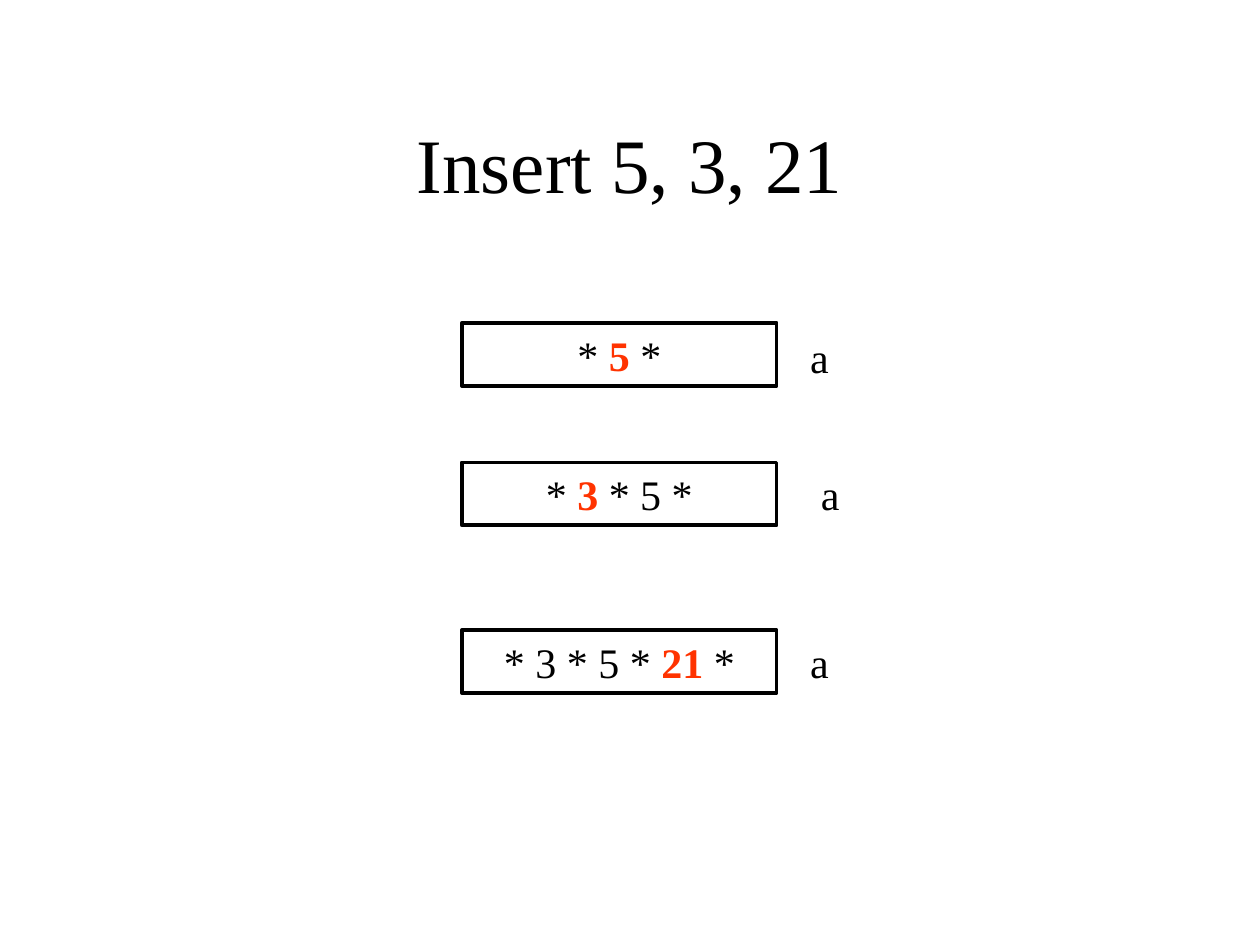
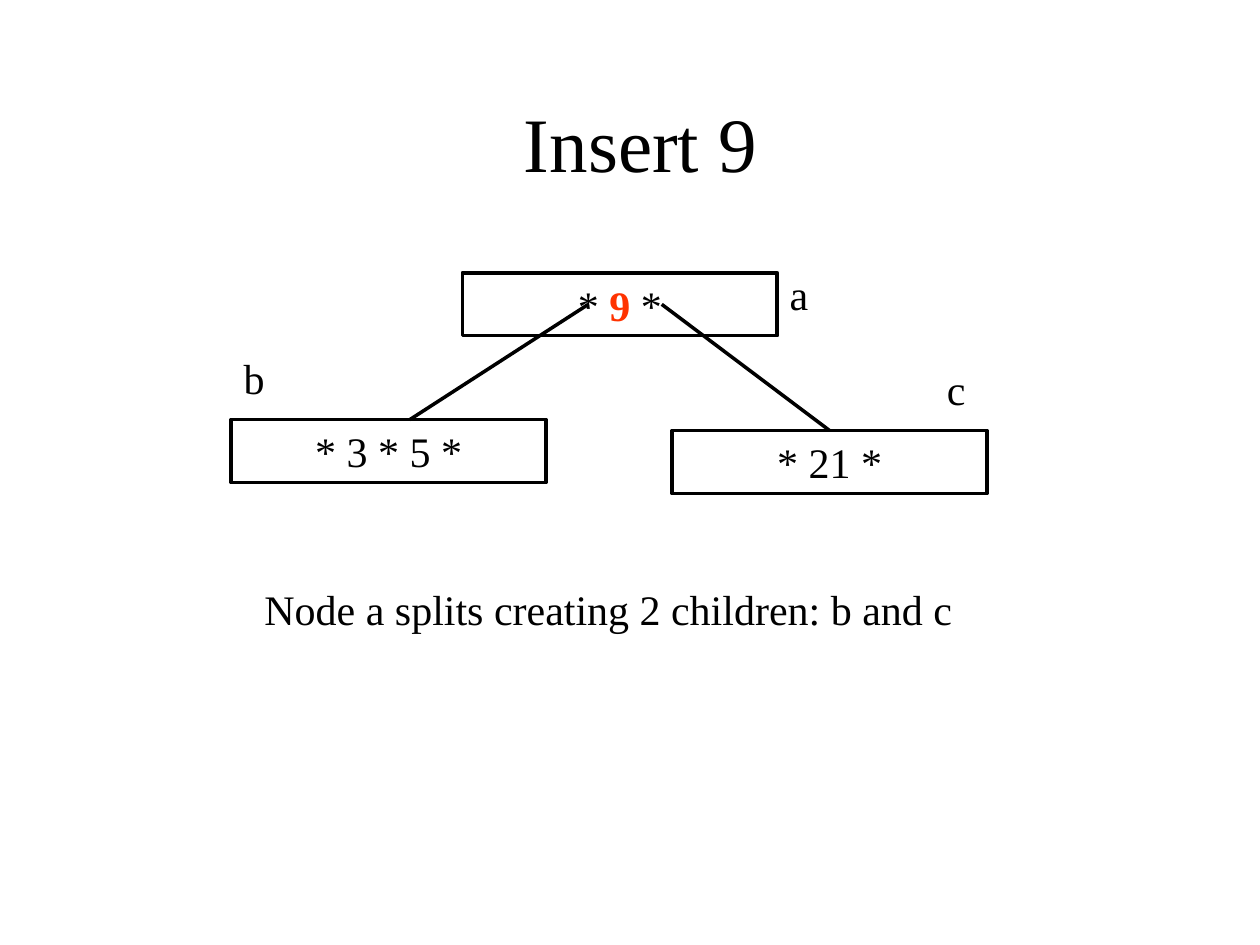
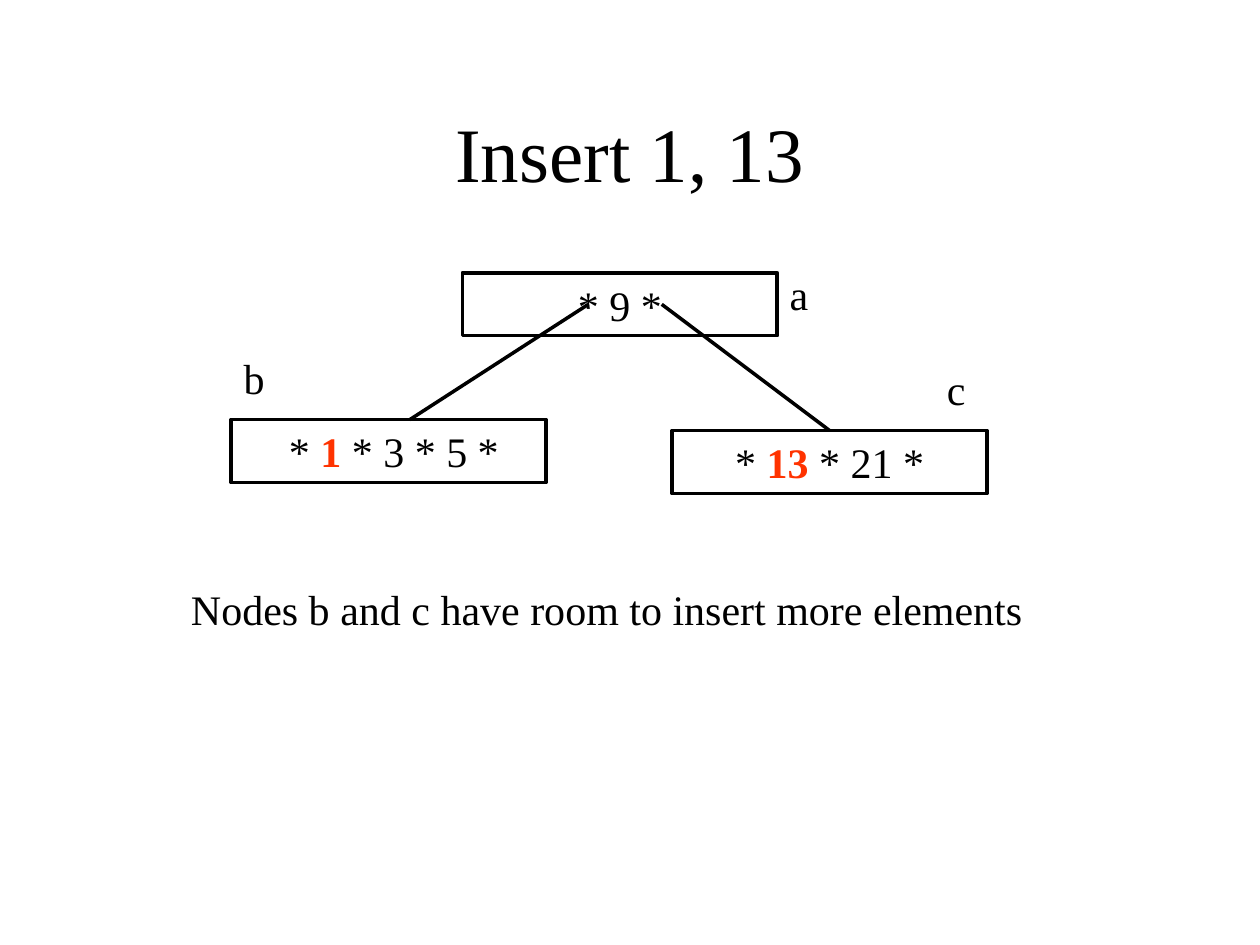
from dataclasses import dataclass

from lxml.etree import SubElement
from pptx import Presentation
from pptx.dml.color import RGBColor
from pptx.enum.shapes import MSO_CONNECTOR, MSO_SHAPE
from pptx.enum.text import MSO_ANCHOR, MSO_AUTO_SIZE, PP_ALIGN
from pptx.oxml.ns import qn
from pptx.util import Cm, Pt


@dataclass(frozen=True)
class Theme:
    font: str = "Times New Roman"
    ink: RGBColor = RGBColor(0x00, 0x00, 0x00)
    inserted: RGBColor = RGBColor(0xFF, 0x33, 0x00)
    paper: RGBColor = RGBColor(0xFF, 0xFF, 0xFF)
    title_size: Pt = Pt(44)
    text_size: Pt = Pt(24)
    stroke: Pt = Pt(2)


@dataclass(frozen=True)
class Box:
    """A region of the slide, in centimetres."""
    left: float
    top: float
    width: float
    height: float

    def inner(self, dx, dy, width, height):
        return Box(self.left + dx, self.top + dy, width, height)

    def lengths(self):
        return Cm(self.left), Cm(self.top), Cm(self.width), Cm(self.height)


THEME = Theme()
NODE_WIDTH, NODE_HEIGHT = 6.35, 1.27
LABEL_SIDE = 1.27


def style_paragraph(paragraph, size, align):
    paragraph.alignment = align
    paragraph.font.name = THEME.font
    paragraph.font.size = size
    paragraph.font.color.rgb = THEME.ink


def add_title_slide(deck, title, box):
    """Add a slide that has only a title, placed in the box."""
    slide = deck.slides.add_slide(deck.slide_layouts[5])
    slide.background.fill.solid()
    slide.background.fill.fore_color.rgb = THEME.paper
    heading = slide.shapes.title
    heading.left, heading.top, heading.width, heading.height = box.lengths()
    frame = heading.text_frame
    frame.text = title
    frame.auto_size = MSO_AUTO_SIZE.NONE
    frame.vertical_anchor = MSO_ANCHOR.MIDDLE
    style_paragraph(frame.paragraphs[0], THEME.title_size, PP_ALIGN.CENTER)
    return slide


def add_text(slide, words, box):
    frame = slide.shapes.add_textbox(*box.lengths()).text_frame
    frame.word_wrap = True
    frame.text = words
    style_paragraph(frame.paragraphs[0], THEME.text_size, PP_ALIGN.LEFT)


def add_node(slide, keys, box):
    """Draw a node; keys is (text before, newly inserted key, text after)."""
    node = slide.shapes.add_shape(MSO_SHAPE.RECTANGLE, *box.lengths())
    node.shadow.inherit = False
    node.fill.background()
    node.line.color.rgb = THEME.ink
    node.line.width = THEME.stroke
    frame = node.text_frame
    frame.word_wrap = True
    frame.vertical_anchor = MSO_ANCHOR.TOP
    paragraph = frame.paragraphs[0]
    style_paragraph(paragraph, THEME.text_size, PP_ALIGN.CENTER)
    before, new_key, after = keys
    for part in filter(None, keys):
        run = paragraph.add_run()
        run.text = part
        # The shape style would otherwise turn the runs white.
        run.font.color.rgb = THEME.ink
        if part == new_key:
            run.font.bold = True
            run.font.color.rgb = THEME.inserted


def add_branch(slide, start, end):
    branch = slide.shapes.add_connector(
        MSO_CONNECTOR.STRAIGHT, *(Cm(length) for length in start + end))
    branch.line.color.rgb = THEME.ink
    branch.line.width = THEME.stroke
    SubElement(branch._element.spPr, qn("a:effectLst"))


def draw_growth(slide, stages, box):
    """Stack the stages of node a: (keys, offset, label dx, label dy)."""
    for keys, offset, label_dx, label_dy in stages:
        node = box.inner(0, offset, NODE_WIDTH, NODE_HEIGHT)
        add_node(slide, keys, node)
        add_text(slide, "a", node.inner(label_dx, label_dy, LABEL_SIDE, LABEL_SIDE))


def draw_tree(slide, root_keys, left_keys, right_keys, box):
    root, left, right = (
        box.inner(dx, dy, NODE_WIDTH, NODE_HEIGHT)
        for dx, dy in ((4.66, 0.21), (0, 3.17), (8.89, 3.39)))
    for node, keys in ((root, root_keys), (left, left_keys), (right, right_keys)):
        add_node(slide, keys, node)

    root_middle = root.top + NODE_HEIGHT / 2
    add_branch(slide, (root.left + 2.54, root_middle), (left.left + 3.6, left.top))
    add_branch(slide, (root.left + 4.02, root_middle),
               (right.left + NODE_WIDTH / 2, right.top))

    for name, node, dx, dy in (("a", root, NODE_WIDTH, -0.21),
                               ("b", left, 0, -1.48),
                               ("c", right, 5.29, -1.48)):
        add_text(slide, name, node.inner(dx, dy, LABEL_SIDE, LABEL_SIDE))


def main():
    deck = Presentation()
    deck.slide_width, deck.slide_height = Cm(25.4), Cm(19.05)
    tree_box = Box(4.66, 5.29, 15.45, 4.66)

    first_keys = add_title_slide(deck, "Insert 5, 3, 21", Box(1.9, 1.69, 21.59, 3.18))
    draw_growth(first_keys, (
        (("* ", "5", " *"), 0, 6.77, 0.05),
        (("* ", "3", " * 5 *"), 2.81, 6.99, 0),
        (("* 3 * 5 * ", "21", " *"), 6.19, 6.77, 0),
    ), Box(9.31, 6.51, 8.26, 7.46))

    split = add_title_slide(deck, "Insert 9", Box(2.12, 1.69, 21.59, 2.33))
    draw_tree(split, ("* ", "9", " *"), ("* 3 * 5 *", "", ""),
              ("* 21 *", "", ""), tree_box)
    add_text(split, "Node a splits creating 2 children: b and c",
             Box(5.08, 11.64, 15.24, 1.27))

    room = add_title_slide(deck, "Insert 1, 13", Box(1.9, 1.69, 21.59, 2.75))
    draw_tree(room, ("* 9 *", "", ""), (" * ", "1", " * 3 * 5 *"),
              ("* ", "13", " * 21 *"), tree_box)
    add_text(room, "Nodes b and c have room to insert more elements",
             Box(3.6, 11.64, 17.57, 1.27))

    deck.save("out.pptx")


if __name__ == "__main__":
    main()
